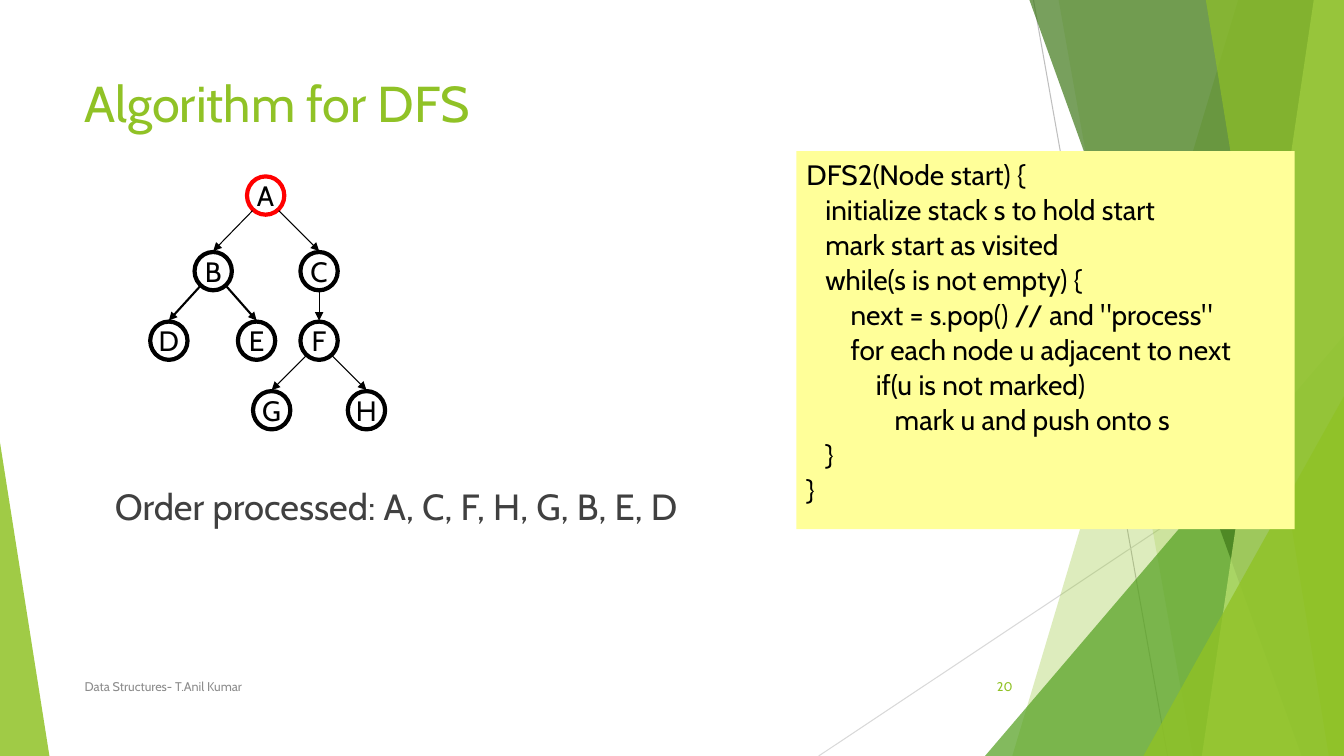
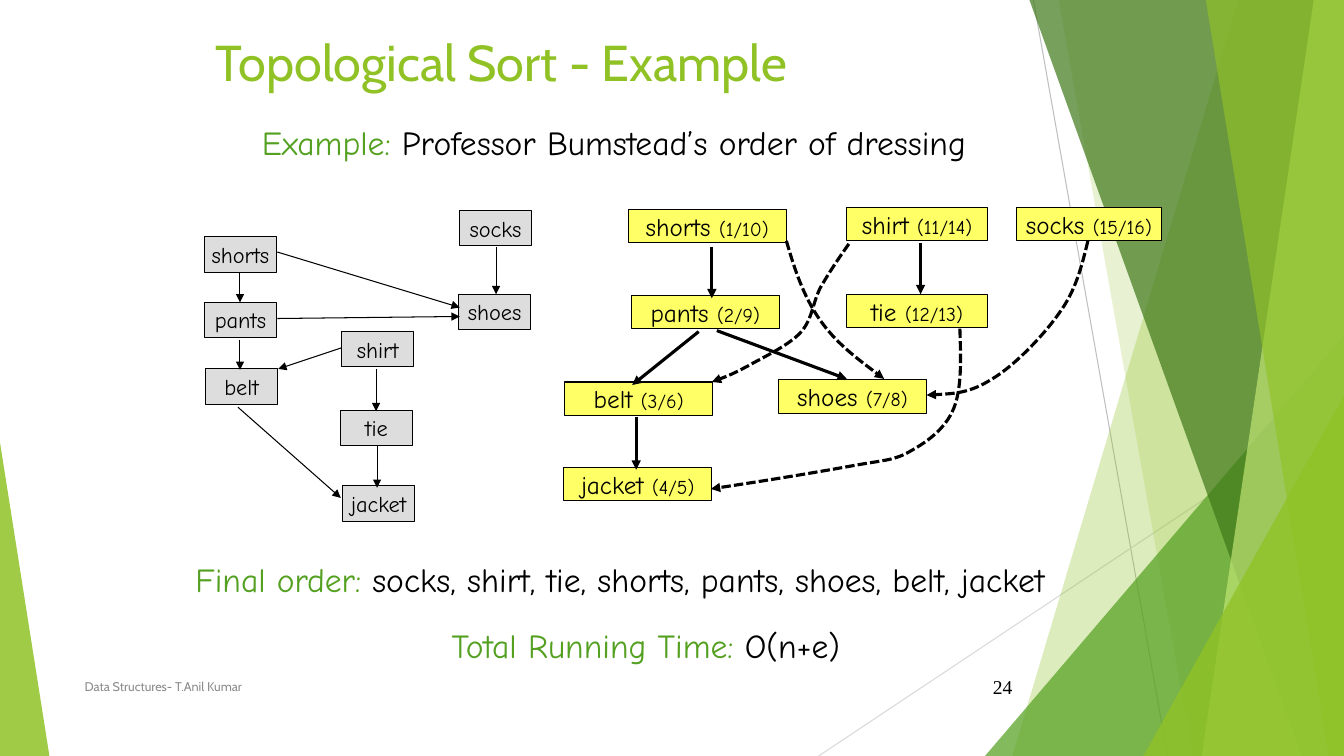
"""Build two data-structure slides: depth-first search and topological sort."""
from lxml import etree
from pptx import Presentation
from pptx.dml.color import RGBColor
from pptx.enum.dml import MSO_LINE
from pptx.enum.shapes import MSO_CONNECTOR, MSO_SHAPE
from pptx.enum.text import MSO_ANCHOR, PP_ALIGN
from pptx.oxml.ns import qn
from pptx.util import Pt

PX = 9144
WIDTH, HEIGHT = 1333, 750
RECTANGLE, OVAL, TRIANGLE = MSO_SHAPE.RECTANGLE, MSO_SHAPE.OVAL, MSO_SHAPE.ISOSCELES_TRIANGLE
STRAIGHT, DOTTED = MSO_CONNECTOR.STRAIGHT, MSO_LINE.SQUARE_DOT
LEFT, CENTER, RIGHT = PP_ALIGN.LEFT, PP_ALIGN.CENTER, PP_ALIGN.RIGHT
TOP, MIDDLE = MSO_ANCHOR.TOP, MSO_ANCHOR.MIDDLE

THEME = {
    "colour": {
        "black": "000000", "red": "FF0000", "lime": "90C226", "green": "54A021",
        "forest": "3F7819", "pale": "C0E474", "text": "404040", "muted": "8C8C8C",
        "rule": "BFBFBF", "faint rule": "D9D9D9",
        "code": "FFFF99", "timed": "FFFF66", "garment": "DDDDDD",
    },
    "type": {
        "title": ("Cabin", 36, "lime"),
        "body": ("Cabin", 26, "text"),
        "code": ("Cabin", 20, "black"),
        "footer": ("Cabin", 9, "muted"),
        "number": ("Cabin", 9, "lime"),
        "serif number": ("Times New Roman", 14, "black"),
        "label": ("Comic Neue", 24, "green"),
        "statement": ("Comic Neue", 24, "black"),
        "timed": ("Comic Neue", 18, "black"),
        "times": ("Comic Neue", 14, "black"),
        "garment": ("Comic Neue", 16, "black"),
    },
    "weight": {"thin": 0.75, "medium": 1.5, "bold": 2.25, "ring": 3},
}
COLOUR = {name: RGBColor.from_string(code) for name, code in THEME["colour"].items()}


def stroke(shape, colour="black", weight="thin", dash=None, arrow=False):
    """Give a shape or connector its line, optional arrowhead and no shadow."""
    shape.line.color.rgb = COLOUR[colour]
    shape.line.width = Pt(THEME["weight"][weight])
    if dash:
        shape.line.dash_style = dash
    properties = shape.element.spPr
    if arrow:
        etree.SubElement(properties.find(qn("a:ln")), qn("a:tailEnd"), type="triangle")
    if properties.find(qn("a:effectLst")) is None:
        etree.SubElement(properties, qn("a:effectLst"))


def block(slide, box, paragraphs, kind=None, fill=None, align=LEFT, anchor=TOP, inset=(10, 5)):
    """Place text, on a preset shape if a kind is given; paragraphs hold (text, type) runs."""
    area = [value * PX for value in box]
    if kind is None:
        shape = slide.shapes.add_textbox(*area)
    else:
        shape = slide.shapes.add_shape(kind, *area)
        shape.shadow.inherit = False
        shape.line.fill.background()
        shape.fill.background()
    if fill:
        shape.fill.solid()
        shape.fill.fore_color.rgb = COLOUR[fill]
    side, end = (value * PX for value in inset)
    frame_format = {
        "word_wrap": kind is None, "vertical_anchor": anchor,
        "margin_left": side, "margin_right": side, "margin_top": end, "margin_bottom": end,
    }
    frame = shape.text_frame
    for attribute, value in frame_format.items():
        setattr(frame, attribute, value)
    for index, runs in enumerate(paragraphs):
        paragraph = frame.paragraphs[0] if index == 0 else frame.add_paragraph()
        paragraph.alignment = align
        for text, style in runs:
            run = paragraph.add_run()
            run.text = text
            name, size, colour = THEME["type"][style]
            for attribute, value in {"name": name, "size": Pt(size)}.items():
                setattr(run.font, attribute, value)
            run.font.color.rgb = COLOUR[colour]
    return shape


deck = Presentation()
deck.slide_width, deck.slide_height = WIDTH * PX, HEIGHT * PX

RULES = [((1025, 0), (1158, 750), "rule"), ((1333, 403), (812, 750), "faint rule")]
BANDS = [
    ("panel", (1228, 1004), "lime", 30),
    ("panel", (1050, 1183), "lime", 20),
    ("peak", (977, 333, 356, 1), "green", 72),
    ("panel", (1021, 1291), "forest", 70),
    ("panel", (1303, 1192), "pale", 70),
    ("panel", (1196, 1318), "lime", 65),
    ("peak", (1134, 393, 199, 1), "lime", 80),
    ("peak", (0, 439, 49, 0), "lime", 85),
]
PAGES = [
    ("Algorithm for DFS", (74, 67, 940, 144), "20", "number"),
    ("Topological Sort - Example", (204, 26, 896, 76), "24", "serif number"),
]

slides = []
for title, title_box, number, number_type in PAGES:
    slide = deck.slides.add_slide(deck.slide_layouts[6])
    slides.append(slide)
    for start, end, colour in RULES:
        rule = slide.shapes.add_connector(STRAIGHT, *[value * PX for value in start + end])
        stroke(rule, colour)
    for kind, geometry, colour, opacity in BANDS:
        if kind == "panel":
            top_x, bottom_x = geometry
            outline = slide.shapes.build_freeform(top_x, 0, scale=PX)
            outline.add_line_segments([(WIDTH, 0), (WIDTH, HEIGHT), (bottom_x, HEIGHT)], close=True)
            band = outline.convert_to_shape()
        else:
            left, top, width, apex = geometry
            area = [value * PX for value in (left, top, width, HEIGHT - top)]
            band = slide.shapes.add_shape(TRIANGLE, *area)
            band.adjustments[0] = apex
        band.shadow.inherit = False
        band.line.fill.background()
        band.fill.solid()
        band.fill.fore_color.rgb = COLOUR[colour]
        tint = band.element.spPr.find(qn("a:solidFill"))[0]
        etree.SubElement(tint, qn("a:alpha"), val=str(opacity * 1000))
    block(slide, title_box, [[(title, "title")]])
    block(slide, (74, 661, 689, 40), [[("Data Structures- T.Anil Kumar", "footer")]], anchor=MIDDLE)
    block(slide, (939, 661, 75, 40), [[(number, number_type)]], align=RIGHT, anchor=MIDDLE)

search, dressing = slides

block(search, (104, 475, 892, 170), [[("Order processed: A, C, F, H, G, B, E, D", "body")]])

NODE_WIDTH, NODE_HEIGHT = 37, 38
NODES = {
    "A": (245, 175), "B": (193, 250), "C": (298, 250), "D": (149, 319),
    "E": (236, 319), "F": (298, 319), "G": (251, 388), "H": (345, 388),
}
BRANCHES = [
    ("AB", "thin"), ("AC", "thin"), ("BD", "medium"), ("BE", "medium"),
    ("CF", "thin"), ("FG", "thin"), ("FH", "thin"),
]
for letter, (x, y) in NODES.items():
    node = block(search, (x, y, NODE_WIDTH, NODE_HEIGHT), [[(letter, "code")]], OVAL,
                 align=CENTER, anchor=MIDDLE, inset=(0, 0))
    stroke(node, "red" if letter == "A" else "black", "ring")
for (parent, child), weight in BRANCHES:
    (parent_x, parent_y), (child_x, child_y) = NODES[parent], NODES[child]
    side = (child_x > parent_x) - (child_x < parent_x)
    start = (parent_x + NODE_WIDTH / 2 + side * 13, parent_y + (34 if side else NODE_HEIGHT))
    end = (child_x + NODE_WIDTH / 2, child_y - 1)
    branch = search.shapes.add_connector(STRAIGHT, *[int(value * PX) for value in start + end])
    stroke(branch, weight=weight, arrow=True)

CODE = """DFS2(Node start) {
   initialize stack s to hold start
   mark start as visited
   while(s is not empty) {
       next = s.pop() // and "process"
       for each node u adjacent to next
           if(u is not marked)
              mark u and push onto s
   }
}"""
listing = block(search, (790, 150, 494, 375), [[(line, "code")] for line in CODE.splitlines()],
                RECTANGLE, "code", inset=(10, 10))
for index, paragraph in enumerate(listing.text_frame.paragraphs):
    paragraph.line_spacing = Pt(21)
    paragraph.space_before = Pt(4 if index else 0)

TIMED_GARMENTS = [
    ("shorts", "(1/10)", 623, 208, 157), ("pants", "(2/9)", 626, 293, 147),
    ("shirt", "(11/14)", 840, 206, 139), ("socks", "(15/16)", 1008, 206, 144),
    ("belt", "(3/6)", 560, 379, 147), ("shoes", "(7/8)", 772, 377, 147),
    ("jacket", "(4/5)", 559, 464, 147), ("tie", "(12/13)", 840, 292, 139),
]
GARMENTS = [
    ("shorts", 203, 235), ("pants", 203, 300), ("belt", 204, 366), ("shirt", 339, 329),
    ("tie", 338, 407), ("jacket", 340, 482), ("socks", 456, 209), ("shoes", 455, 292),
]
boxes = [((x, y, width, 33), [(f"{garment} ", "timed"), (times, "times")], "timed")
         for garment, times, x, y, width in TIMED_GARMENTS]
boxes += [((x, y, 71, 35), [(garment, "garment")], "garment") for garment, x, y in GARMENTS]
for area, runs, fill in boxes:
    stroke(block(dressing, area, [runs], RECTANGLE, fill, CENTER, MIDDLE, (0, 0)))

ARROWS = {
    "bold": [
        (706, 245, 706, 296), (913, 241, 913, 292), (693, 329, 627, 382),
        (711, 328, 840, 376), (631, 414, 631, 466),
    ],
    "thin": [
        (275, 250, 456, 305), (492, 245, 492, 292), (238, 271, 238, 300),
        (238, 337, 238, 367), (275, 316, 456, 314), (339, 345, 276, 366),
        (373, 366, 373, 408), (374, 442, 374, 484), (236, 404, 338, 494),
    ],
}
for weight, spans in ARROWS.items():
    for span in spans:
        arrow = dressing.shapes.add_connector(STRAIGHT, *[value * PX for value in span])
        stroke(arrow, weight=weight, arrow=True)

CURVES = [
    [(780, 239), (788, 267), (797, 294), (813, 317), (829, 340), (853, 358), (877, 376)],
    [(842, 242), (832, 256), (822, 271), (814, 285), (806, 300), (806, 317), (794, 330),
     (782, 343), (756, 355), (742, 363), (727, 371), (717, 375), (706, 379)],
    [(952, 326), (953, 356), (954, 385), (946, 405), (938, 425), (920, 438), (904, 447),
     (887, 457), (879, 456), (846, 462), (813, 468), (759, 477), (705, 485)],
    [(1079, 239), (1073, 264), (1067, 288), (1051, 310), (1035, 333), (1006, 363), (984, 376),
     (962, 390), (941, 391), (919, 392)],
]
for start, *controls in CURVES:
    outline = dressing.shapes.build_freeform(*start, scale=PX)
    outline.add_line_segments(controls, close=False)
    curve = outline.convert_to_shape()
    curve.fill.background()
    curve.shadow.inherit = False
    segments = list(curve.element.iter(qn("a:lnTo")))
    for first in range(0, len(segments), 3):
        bezier = etree.Element(qn("a:cubicBezTo"))
        segments[first].addprevious(bezier)
        for segment in segments[first:first + 3]:
            bezier.append(segment[0])
            segment.getparent().remove(segment)
    stroke(curve, weight="bold", dash=DOTTED, arrow=True)

STATEMENTS = [
    ((250, 116, 786, 50), "Example: ", "Professor Bumstead’s order of dressing"),
    ((184, 550, 984, 50), "Final order: ", "socks, shirt, tie, shorts, pants, shoes, belt, jacket"),
    ((438, 615, 439, 50), "Total Running Time: ", "O(n+e)"),
]
for area, label, statement in STATEMENTS:
    block(dressing, area, [[(label, "label"), (statement, "statement")]])

deck.save("out.pptx")
